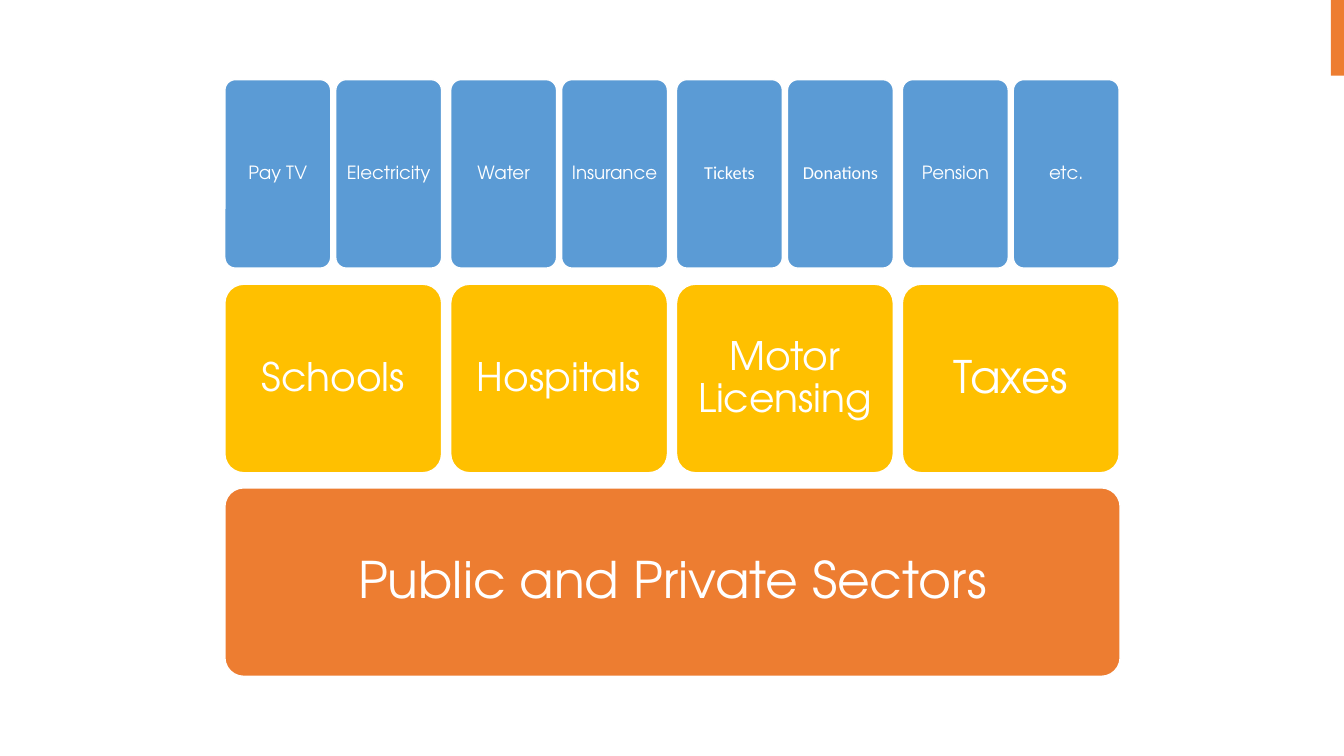
from pptx import Presentation
from pptx.dml.color import RGBColor
from pptx.enum.shapes import MSO_SHAPE
from pptx.enum.text import MSO_ANCHOR, PP_ALIGN
from pptx.util import Pt

DISPLAY_FONT, PLAIN_FONT = "TeX Gyre Adventor", "Calibri"
WHITE, ORANGE, GOLD, BLUE = "FFFFFF", "ED7D31", "FFC000", "5B9BD5"

FOUNDATION = "Public and Private Sectors"
# sector, text size, inset, services above it, font of the services
SECTORS = [
    ("Schools", 28, 12, ("Pay TV", "Electricity"), DISPLAY_FONT),
    ("Hospitals", 28, 12, ("Water", "Insurance"), DISPLAY_FONT),
    ("Motor Licensing", 28, 12, ("Tickets", "Donations"), PLAIN_FONT),
    ("Taxes", 32, 13, ("Pension", "etc."), DISPLAY_FONT),
]

EMU_PER_PX = 9144  # 100 px to the inch
SLIDE_WIDTH, SLIDE_HEIGHT = 1333, 750
LEFT, FULL_WIDTH, BLOCK_HEIGHT = 223, 888, 187
SERVICE_TOP, SECTOR_TOP, FOUNDATION_TOP = 79, 282, 484
SECTOR_WIDTH, SECTOR_STEP = 215, 224
SERVICE_WIDTH, SERVICE_STEP = 105, 110


def px(length):
    return length * EMU_PER_PX


def color(hex_string):
    return RGBColor.from_string(hex_string)


def add_filled(page, kind, left, top, width, height, fill):
    shape = page.shapes.add_shape(kind, px(left), px(top), px(width), px(height))
    shape.shadow.inherit = False
    shape.fill.solid()
    shape.fill.fore_color.rgb = color(fill)
    shape.line.fill.background()
    return shape


def add_block(page, text, left, top, width, fill, size, inset, font=DISPLAY_FONT):
    block = add_filled(page, MSO_SHAPE.ROUNDED_RECTANGLE,
                       left, top, width, BLOCK_HEIGHT, fill)
    block.adjustments[0] = 0.1
    block.line.color.rgb = color(WHITE)
    block.line.width = Pt(1)

    frame = block.text_frame
    frame_format = {"word_wrap": True, "vertical_anchor": MSO_ANCHOR.MIDDLE}
    for side in ("left", "top", "right", "bottom"):
        frame_format[f"margin_{side}"] = px(inset)
    para = frame.paragraphs[0]
    span = para.add_run()
    span.text = text
    formats = [
        (frame, frame_format),
        (para, {"alignment": PP_ALIGN.CENTER, "line_spacing": 0.9}),
        (span.font, {"name": font, "size": Pt(size)}),
    ]
    for target, values in formats:
        for name, value in values.items():
            setattr(target, name, value)
    span.font.color.rgb = color(WHITE)


def main():
    deck = Presentation()
    deck.slide_width, deck.slide_height = px(SLIDE_WIDTH), px(SLIDE_HEIGHT)
    page = deck.slides.add_slide(deck.slide_layouts[6])

    add_filled(page, MSO_SHAPE.RECTANGLE, SLIDE_WIDTH - 13, 0, 13, 75, ORANGE)
    add_block(page, FOUNDATION, LEFT, FOUNDATION_TOP, FULL_WIDTH, ORANGE, 36, 15)
    for column, (sector, size, inset, services, font) in enumerate(SECTORS):
        left = LEFT + column * SECTOR_STEP
        add_block(page, sector, left, SECTOR_TOP, SECTOR_WIDTH, GOLD, size, inset)
        for position, service in enumerate(services):
            add_block(page, service, left + position * SERVICE_STEP, SERVICE_TOP,
                      SERVICE_WIDTH, BLUE, 13, 5, font)

    deck.save("out.pptx")


if __name__ == "__main__":
    main()
